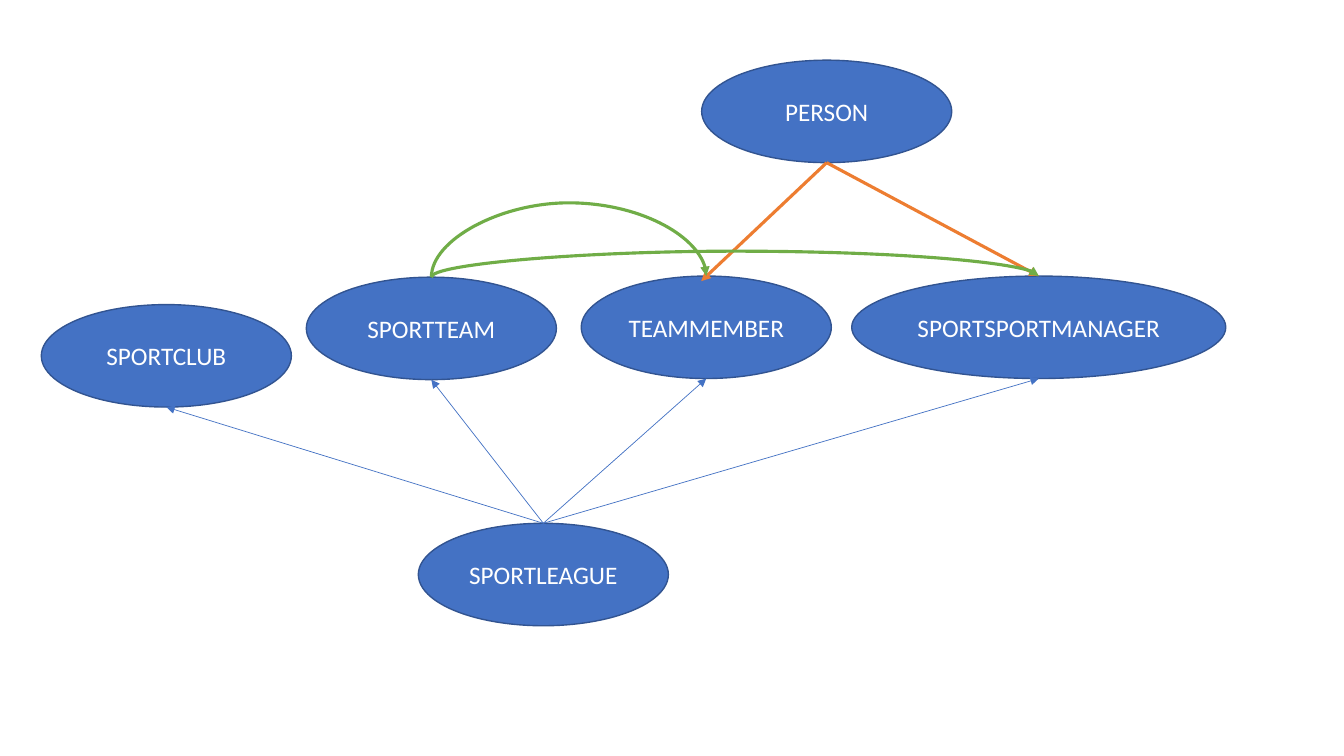
"""Build the sports league ontology diagram."""
from dataclasses import dataclass

from lxml.etree import SubElement
from pptx import Presentation
from pptx.dml.color import RGBColor
from pptx.enum.shapes import MSO_CONNECTOR as Connector, MSO_SHAPE as Shape
from pptx.enum.text import MSO_ANCHOR as Anchor, PP_ALIGN as Align
from pptx.oxml.ns import qn
from pptx.util import Pt


@dataclass(frozen=True)
class Theme:
    font: str = "Calibri"
    text_size: float = 18
    text: str = "FFFFFF"
    node: str = "4472C4"
    outline: str = "325491"
    league: str = "4472C4"
    person: str = "ED7D31"
    team: str = "70AD47"
    outline_width: float = 1
    thin: float = 0.5
    thick: float = 2.25


class Diagram:
    def __init__(self, slide, theme):
        self.slide = slide
        self.theme = theme

    def node(self, label, left, top, width=178.6, height=73.2):
        theme = self.theme
        shape = self.slide.shapes.add_shape(
            Shape.OVAL, Pt(left), Pt(top), Pt(width), Pt(height))
        shape.shadow.inherit = False
        shape.fill.solid()
        shape.fill.fore_color.rgb = RGBColor.from_string(theme.node)
        shape.line.color.rgb = RGBColor.from_string(theme.outline)
        shape.line.width = Pt(theme.outline_width)
        frame = shape.text_frame
        frame.word_wrap = True
        frame.vertical_anchor = Anchor.MIDDLE
        frame.text = label
        paragraph = frame.paragraphs[0]
        paragraph.alignment = Align.CENTER
        font = paragraph.runs[0].font
        font.name = theme.font
        font.size = Pt(theme.text_size)
        font.color.rgb = RGBColor.from_string(theme.text)
        return shape

    def arrow(self, start, end, color, width, kind=Connector.STRAIGHT):
        connector = self.slide.shapes.add_connector(kind, *start, *end)
        connector.line.color.rgb = RGBColor.from_string(color)
        connector.line.width = Pt(width)
        properties = connector.element.spPr
        SubElement(properties.find(qn("a:ln")), qn("a:tailEnd"), type="triangle")
        SubElement(properties, qn("a:effectLst"))
        return connector

    def arc(self, start, end, bulge, color, width):
        """Draw a curve that rises by bulge above a start lying lower than its end."""
        span, rise = end[0] - start[0], start[1] - end[1]
        left = (start[0] + end[0] - rise) // 2
        top = (start[1] + end[1] - span) // 2
        connector = self.arrow((left + rise, top + span), (left, top),
                               color, width, Connector.CURVE)
        properties = connector.element.spPr
        properties.find(qn("a:xfrm")).set("rot", str(90 * 60000))
        geometry = properties.find(qn("a:prstGeom"))
        adjustments = geometry.find(qn("a:avLst"))
        if adjustments is None:
            adjustments = SubElement(geometry, qn("a:avLst"))
        SubElement(adjustments, qn("a:gd"), name="adj1",
                   fmla=f"val {round(Pt(bulge) / rise * 100000)}")


def top_of(shape):
    return shape.left + shape.width // 2, shape.top


def bottom_of(shape):
    return shape.left + shape.width // 2, shape.top + shape.height


presentation = Presentation()
presentation.slide_width, presentation.slide_height = Pt(960), Pt(540)
theme = Theme()
diagram = Diagram(presentation.slides.add_slide(presentation.slide_layouts[6]), theme)

club = diagram.node("SPORTCLUB", 29.5, 217.6)
manager = diagram.node("SPORTSPORTMANAGER", 608.4, 197.2, width=267.2)
team = diagram.node("SPORTTEAM", 218.8, 198)
league = diagram.node("SPORTLEAGUE", 298.8, 373.8)
member = diagram.node("TEAMMEMBER", 415.2, 197.2)
person = diagram.node("PERSON", 501.2, 43)

member_x, member_y = top_of(member)
for target in ((member_x - Pt(3.6), member_y + Pt(3.6)), top_of(manager)):
    diagram.arrow(bottom_of(person), target, theme.person, theme.thick)

for part in (manager, member, team, club):
    diagram.arrow(top_of(league), bottom_of(part), theme.league, theme.thin)

for role, bulge in ((manager, 18.7), (member, 53.5)):
    diagram.arc(top_of(team), top_of(role), bulge, theme.team, theme.thick)

presentation.save("out.pptx")
